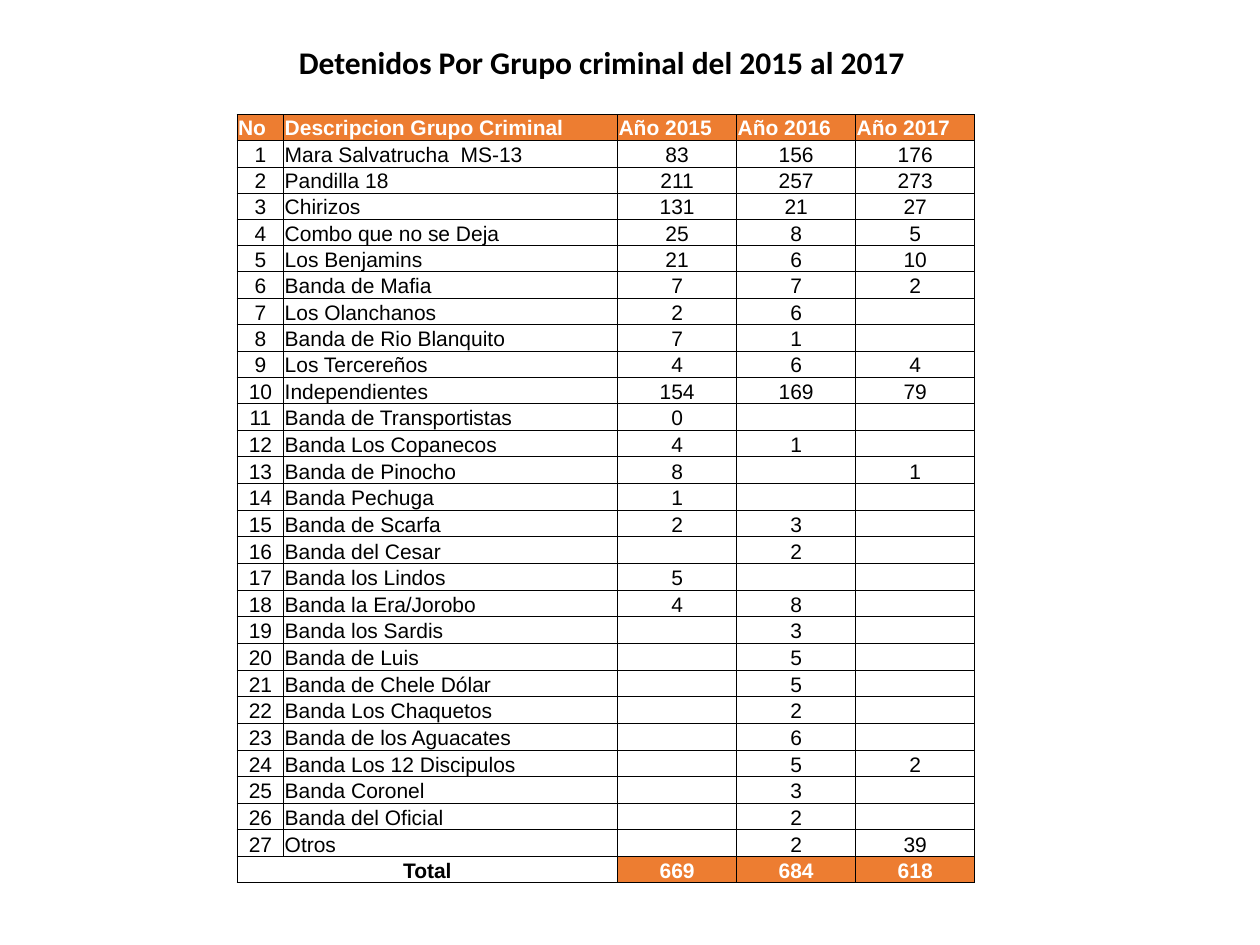
from dataclasses import dataclass

from lxml import etree
from pptx import Presentation
from pptx.dml.color import RGBColor
from pptx.enum.text import MSO_ANCHOR, MSO_AUTO_SIZE, PP_ALIGN
from pptx.oxml.ns import qn
from pptx.util import Cm, Pt

LEFT, CENTER = PP_ALIGN.LEFT, PP_ALIGN.CENTER
TOP, MIDDLE, BOTTOM = MSO_ANCHOR.TOP, MSO_ANCHOR.MIDDLE, MSO_ANCHOR.BOTTOM
NO_AUTOFIT = MSO_AUTO_SIZE.NONE
TITLE_ONLY = 5


@dataclass(frozen=True)
class Theme:
    black: str = "000000"
    white: str = "FFFFFF"
    orange: str = "ED7D31"
    title_font: str = "Calibri"
    table_font: str = "Arial"
    title_size: int = 18
    table_size: int = 12
    border: float = 0.5


THEME = Theme()
TITLE = "Detenidos Por Grupo criminal del 2015 al 2017"
HEADER = ("No", "Descripcion Grupo Criminal", "Año 2015", "Año 2016", "Año 2017")
GROUPS = (
    ("Mara Salvatrucha  MS-13", 83, 156, 176),
    ("Pandilla 18", 211, 257, 273),
    ("Chirizos", 131, 21, 27),
    ("Combo que no se Deja", 25, 8, 5),
    ("Los Benjamins", 21, 6, 10),
    ("Banda de Mafia", 7, 7, 2),
    ("Los Olanchanos", 2, 6, ""),
    ("Banda de Rio Blanquito", 7, 1, ""),
    ("Los Tercereños", 4, 6, 4),
    ("Independientes", 154, 169, 79),
    ("Banda de Transportistas", 0, "", ""),
    ("Banda Los Copanecos", 4, 1, ""),
    ("Banda de Pinocho", 8, "", 1),
    ("Banda Pechuga", 1, "", ""),
    ("Banda de Scarfa", 2, 3, ""),
    ("Banda del Cesar", "", 2, ""),
    ("Banda los Lindos", 5, "", ""),
    ("Banda la Era/Jorobo", 4, 8, ""),
    ("Banda los Sardis", "", 3, ""),
    ("Banda de Luis", "", 5, ""),
    ("Banda de Chele Dólar", "", 5, ""),
    ("Banda Los Chaquetos", "", 2, ""),
    ("Banda de los Aguacates", "", 6, ""),
    ("Banda Los 12 Discipulos", "", 5, 2),
    ("Banda Coronel", "", 3, ""),
    ("Banda del Oficial", "", 2, ""),
    ("Otros", "", 2, 39),
)
TOTAL = ("Total", "", 669, 684, 618)
COL_WIDTHS = (0.94, 6.73, 2.4, 2.4, 2.4)
WHITE_NAME_ROWS = 6


def write(tf, text, font=THEME.table_font, size=THEME.table_size,
          color=THEME.black, bold=False, align=LEFT):
    p = tf.paragraphs[0]
    p.alignment = align
    if text == "":
        etree.SubElement(p._p, qn("a:endParaRPr"), sz=str(size * 100))
        return
    r = p.add_run()
    r.text = str(text)
    r.font.name = font
    r.font.size = Pt(size)
    r.font.bold = bold
    r.font.color.rgb = RGBColor.from_string(color)


def add_borders(cell):
    tc_pr = cell._tc.get_or_add_tcPr()
    for side in ("a:lnL", "a:lnR", "a:lnT", "a:lnB"):
        ln = etree.SubElement(tc_pr, qn(side), w=str(Pt(THEME.border)))
        fill = etree.SubElement(ln, qn("a:solidFill"))
        etree.SubElement(fill, qn("a:srgbClr"), val=THEME.black)


def fill_cell(cell, text, fill=None, anchor=BOTTOM, **text_format):
    cell.margin_left = cell.margin_right = cell.margin_top = Cm(0.02)
    cell.margin_bottom = 0
    cell.vertical_anchor = anchor
    add_borders(cell)
    if fill:
        cell.fill.solid()
        cell.fill.fore_color.rgb = RGBColor.from_string(fill)
    else:
        cell.fill.background()
    write(cell.text_frame, text, **text_format)


def add_title(s):
    sp = s.shapes.title
    sp.left, sp.top, sp.width, sp.height = Cm(5.77), Cm(0.74), Cm(14.58), Cm(1.02)
    tf = sp.text_frame
    tf.word_wrap = True
    tf.auto_size = NO_AUTOFIT
    tf.vertical_anchor = TOP
    write(tf, TITLE, font=THEME.title_font, size=THEME.title_size, bold=True)


def add_groups_table(s):
    frame = s.shapes.add_table(len(GROUPS) + 2, len(HEADER), Cm(4.78), Cm(2.31),
                               Cm(sum(COL_WIDTHS)), Cm(15.32))
    table = frame.table
    table.first_row = table.horz_banding = False
    for column, width in zip(table.columns, COL_WIDTHS):
        column.width = Cm(width)

    for col, text in enumerate(HEADER):
        fill_cell(table.cell(0, col), text, fill=THEME.orange, anchor=MIDDLE,
                  color=THEME.white, bold=True)

    for row, group in enumerate(GROUPS, 1):
        for col, text in enumerate((row, *group)):
            white = col == 0 or (col == 1 and row <= WHITE_NAME_ROWS)
            fill_cell(table.cell(row, col), text, fill=THEME.white if white else None,
                      align=LEFT if col == 1 else CENTER)

    last = len(GROUPS) + 1
    table.cell(last, 0).merge(table.cell(last, 1))
    for col, text in enumerate(TOTAL):
        is_year = col > 1
        fill_cell(table.cell(last, col), text, fill=THEME.orange if is_year else None,
                  color=THEME.white if is_year else THEME.black, bold=True, align=CENTER)


def main():
    prs = Presentation()
    prs.slide_width, prs.slide_height = Cm(25.4), Cm(19.05)
    s = prs.slides.add_slide(prs.slide_layouts[TITLE_ONLY])
    add_groups_table(s)
    add_title(s)
    prs.save("out.pptx")


if __name__ == "__main__":
    main()
